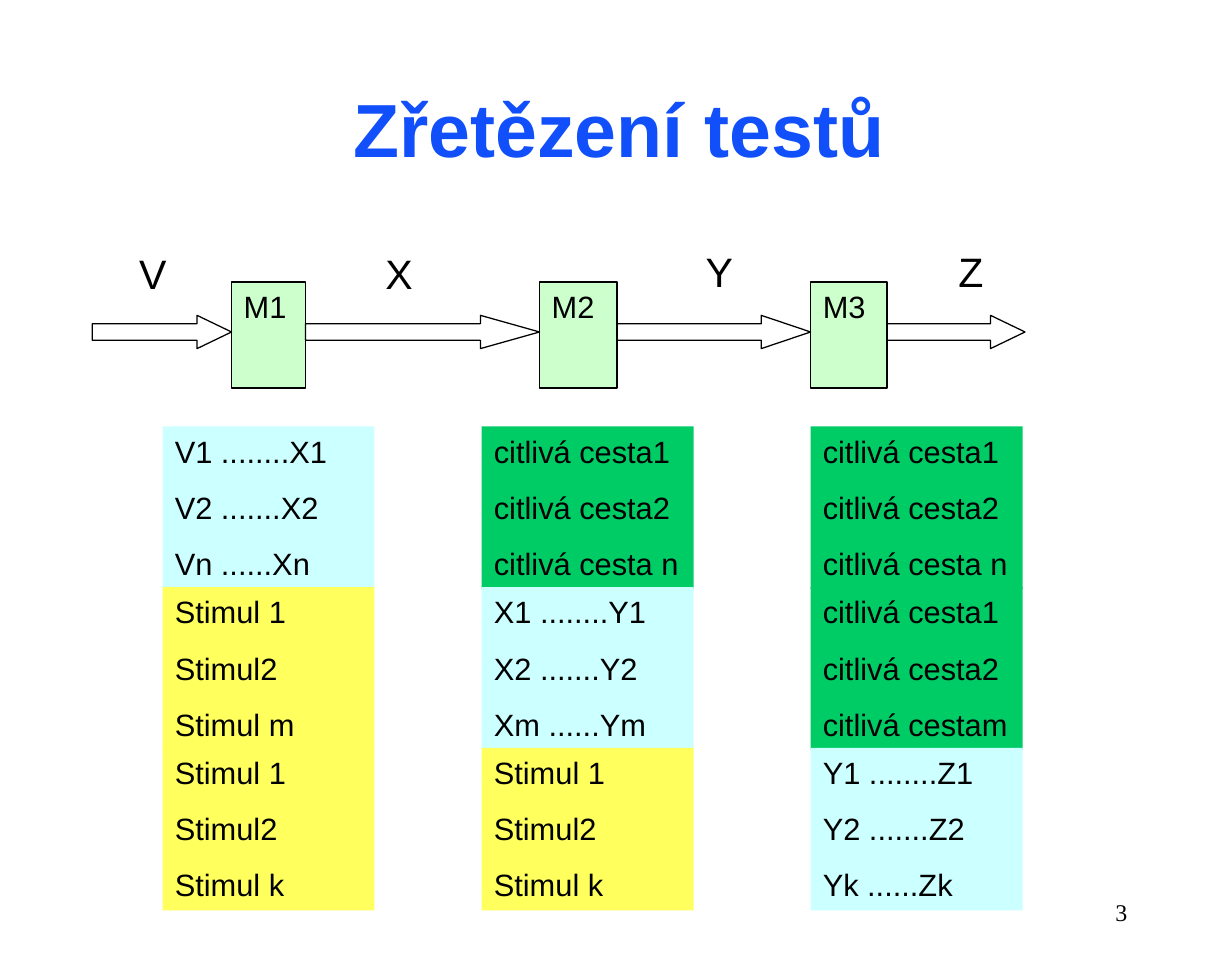
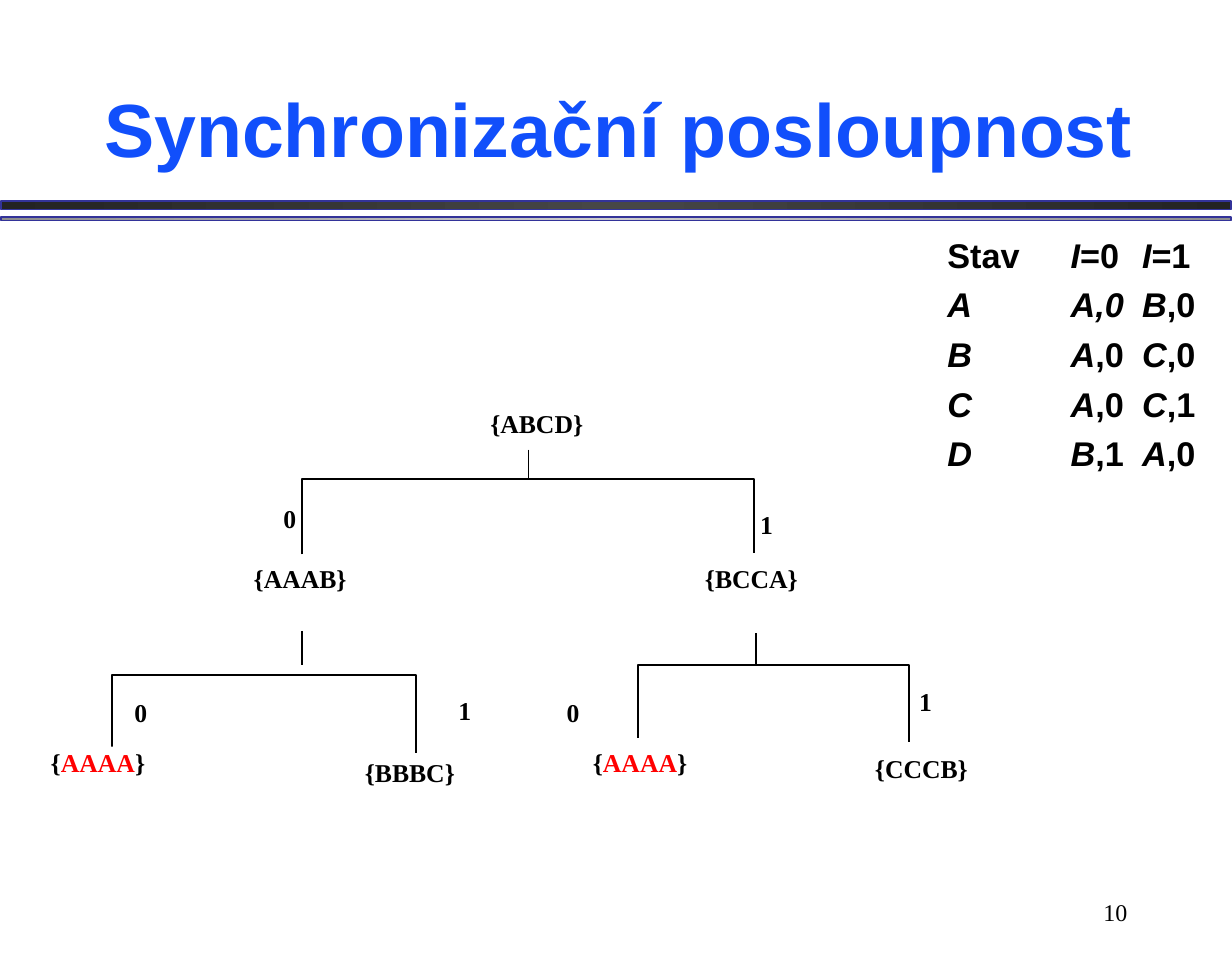
import copy
from dataclasses import dataclass

import pptx
import pptx.dml.color
import pptx.enum.shapes
import pptx.enum.text
import pptx.oxml
import pptx.oxml.ns
import pptx.util
from pptx.util import Inches

HUES = {
    "title": "114FFB", "ink": "000000", "red": "FF0000", "white": "FFFFFF",
    "module": "CCFFCC", "pair": "CCFFFF", "route": "00CC66", "stim": "FFFF5D",
    "rim": "333399", "dark": "232323", "gray": "474747",
    "dim": "8F8F8F", "pale": "CECECE",
}
SANS, SERIF = "Arial", "Times New Roman"
KINDS = pptx.enum.shapes.MSO_SHAPE
ALIGN = pptx.enum.text.PP_ALIGN
ANCHOR = pptx.enum.text.MSO_ANCHOR
PAD = (0.1, 0.05, 0.1, 0.05)
NO_PAD = (0, 0, 0, 0)


@dataclass
class Box:
    left: float
    top: float
    width: float
    height: float

    def emu(self) -> list:
        return [Inches(v) for v in (self.left, self.top, self.width, self.height)]


@dataclass
class Label:
    text: str
    box: Box
    fill: str | None = None


@dataclass
class Fork:
    """A stem above a bracket whose two legs end at different heights."""
    stem: float
    start: float
    end: float
    bar: float
    left: float
    right: float
    left_foot: float
    right_foot: float


def rgb(name: str):
    return pptx.dml.color.RGBColor.from_string(HUES[name])


def write(frame, text, *, size=18, font=SANS, color="ink", bold=False,
          align=ALIGN.LEFT, anchor=ANCHOR.TOP, before=0, pad=PAD, wrap=True,
          mark=None, slant=False, tabs=()):
    """Fill a frame line by line; parts between bars take the mark colour or slant."""
    frame.auto_size = pptx.enum.text.MSO_AUTO_SIZE.NONE
    frame.word_wrap = wrap
    frame.vertical_anchor = anchor
    (frame.margin_left, frame.margin_top,
     frame.margin_right, frame.margin_bottom) = map(Inches, pad)
    for i, line in enumerate(text.split("\n")):
        para = frame.paragraphs[0] if i == 0 else frame.add_paragraph()
        para.alignment = align
        para.space_before = pptx.util.Pt(before)
        if tabs:
            stops = pptx.oxml.parse_xml(
                f'<a:tabLst {pptx.oxml.ns.nsdecls("a")}>'
                + "".join(f'<a:tab pos="{Inches(t)}" algn="l"/>' for t in tabs)
                + "</a:tabLst>")
            para._p.get_or_add_pPr().append(stops)
        for j, part in enumerate(line.split("|")):
            if not part:
                continue
            run = para.add_run()
            run.text = part
            run.font.name, run.font.size = font, pptx.util.Pt(size)
            run.font.bold = bold
            run.font.italic = slant and j % 2 == 1
            run.font.color.rgb = rgb(mark if mark and j % 2 else color)


def add_text(slide, box: Box, text: str, **style):
    write(slide.shapes.add_textbox(*box.emu()).text_frame, text, **style)


def add_line(line, width: float, color: str = "ink"):
    line.color.rgb = rgb(color)
    line.width = pptx.util.Pt(width)


def add_block(slide, box: Box, fill: str | None = None, rim: float = 0,
              kind=KINDS.RECTANGLE):
    shape = slide.shapes.add_shape(kind, *box.emu())
    shape.shadow.inherit = False
    if fill:
        shape.fill.solid()
        shape.fill.fore_color.rgb = rgb(fill)
    else:
        shape.fill.background()
    if rim:
        add_line(shape.line, rim)
    else:
        shape.line.fill.background()
    return shape


def add_band(slide, box: Box, edge: str, core: str):
    """Draw a bar that fades from edge to core and back."""
    bar = add_block(slide, box)
    bar.fill.gradient()
    bar.fill.gradient_angle = 0
    for stop, color, place in zip(bar.fill.gradient_stops, (edge, core), (0, 0.5)):
        stop.color.rgb = rgb(color)
        stop.position = place
    stops = bar._element.spPr.find(".//" + pptx.oxml.ns.qn("a:gsLst"))
    last = copy.deepcopy(stops[0])
    last.set("pos", "100000")
    stops.append(last)
    add_line(bar.line, 1, "rim")


def add_arrow(slide, start: float, end: float, head: float):
    arrow = add_block(slide, Box(start, 2.56, end - start, 0.27), rim=0.75,
                      kind=KINDS.RIGHT_ARROW)
    arrow.adjustments[0] = 0.5
    arrow.adjustments[1] = head / 0.27


def add_fork(slide, fork: Fork):
    x = Inches(fork.stem)
    stem = slide.shapes.add_connector(
        pptx.enum.shapes.MSO_CONNECTOR.STRAIGHT,
        x, Inches(fork.start), x, Inches(fork.end))
    add_line(stem.line, 1.13)
    stem._element.spPr.append(
        pptx.oxml.parse_xml(f'<a:effectLst {pptx.oxml.ns.nsdecls("a")}/>'))
    pen = slide.shapes.build_freeform(Inches(fork.left), Inches(fork.left_foot))
    pen.add_line_segments(
        [(Inches(px), Inches(py)) for px, py in (
            (fork.left, fork.bar), (fork.right, fork.bar),
            (fork.right, fork.right_foot))], close=False)
    legs = pen.convert_to_shape()
    legs.shadow.inherit = False
    legs.fill.background()
    add_line(legs.line, 1.13)


def add_slide(deck, title: str, number: int, bands: bool = False):
    slide = deck.slides.add_slide(deck.slide_layouts[5])
    if bands:
        add_band(slide, Box(0.01, 1.63, 9.98, 0.07), "dark", "gray")
        add_band(slide, Box(0.01, 1.76, 9.98, 0.03), "dim", "pale")
    head = slide.shapes.title
    head.left, head.top, head.width, head.height = Box(0.44, 0.53, 9.17, 0.92).emu()
    write(head.text_frame, title, size=44, color="title", bold=True,
          align=ALIGN.CENTER, anchor=ANCHOR.BOTTOM)
    add_text(slide, Box(7.16, 7.15, 2.09, 0.5), str(number), size=14, font=SERIF,
             align=ALIGN.RIGHT, anchor=ANCHOR.MIDDLE)
    return slide


def cell_text(row: int, col: int) -> tuple[str, str]:
    """Give the fill and the lines of one test block."""
    last = "nmk"[row]
    if row == col:
        a, b = "VXYZ"[col:col + 2]
        lines = [f"{a}{n} {'.' * dots}{b}{n}"
                 for n, dots in zip(("1", "2", last), (8, 7, 6))]
        return "pair", "\n".join(lines)
    if row < col:
        end = " n" if row == 0 else last
        return "route", "\n".join("citlivá cesta" + n for n in ("1", "2", end))
    return "stim", f"Stimul 1\nStimul2\nStimul {last}"


def draw_chain(deck):
    slide = add_slide(deck, "Zřetězení testů", 3)
    spans = [(1.88, 2.48), (4.38, 5.01), (6.58, 7.2)]
    for i, (left, right) in enumerate(spans, 1):
        block = add_block(slide, Box(left, 2.29, right - left, 0.86), "module", 0.75)
        write(block.text_frame, f"M{i}", before=11.2)
    starts = [0.75] + [right for _, right in spans]
    ends = [left for left, _ in spans] + [8.32]
    for start, end, head in zip(starts, ends, (0.28, 0.48, 0.4, 0.28)):
        add_arrow(slide, start, end, head)
    for name, left, top in (("V", 1.03, 1.97), ("X", 3.03, 1.97),
                            ("Y", 5.63, 1.95), ("Z", 7.68, 1.95)):
        add_text(slide, Box(left, top, 0.42, 0.5), name, size=24, before=6, wrap=False)
    for col, left in enumerate((1.32, 3.91, 6.58)):
        for row in range(3):
            fill, text = cell_text(row, col)
            block = add_block(slide, Box(left, 3.46 + 1.305 * row, 1.72, 1.32), fill)
            write(block.text_frame, text, before=11.2)


def draw_tree(deck):
    slide = add_slide(deck, "Synchronizační posloupnost", 10, bands=True)
    states = ("Stav\t|I|=0\t|I|=1", "|A\tA,0\tB|,0", "|B\tA|,0\t|C|,0",
              "|C\tA|,0\t|C|,1", "|D\tB|,1\t|A|,0")
    add_text(slide, Box(5.67, 1.85, 4.33, 2.05), "\n".join(states), size=20,
             bold=True, before=5, slant=True, tabs=(1, 1.58),
             pad=(2.02, 0.05, 0.1, 0.05))
    for fork in (Fork(4.29, 3.65, 3.89, 3.89, 2.45, 6.12, 4.5, 4.49),
                 Fork(2.45, 5.12, 5.4, 5.48, 0.91, 3.38, 6.08, 6.11),
                 Fork(6.14, 5.14, 5.4, 5.4, 5.18, 7.38, 5.99, 6.02)):
        add_fork(slide, fork)
    labels = [
        Label("{ABCD}", Box(3.98, 3.31, 0.76, 0.25)),
        Label("{AAAB}", Box(2.06, 4.57, 0.76, 0.25)),
        Label(" {BCCA}", Box(5.67, 4.57, 0.81, 0.25), "white"),
        Label(" {|AAAA|}", Box(0.36, 6.06, 0.82, 0.25), "white"),
        Label(" {BBBC}", Box(2.91, 6.14, 0.78, 0.25), "white"),
        Label(" {|AAAA|}", Box(4.76, 6.06, 0.82, 0.25), "white"),
        Label(" {CCCB}", Box(7.05, 6.11, 0.81, 0.25), "white"),
    ]
    bits = (("0", 2.3, 4.08), ("1", 6.17, 4.13), ("0", 1.09, 5.66),
            ("1", 3.72, 5.64), ("0", 4.6, 5.66), ("1", 7.46, 5.57))
    labels += [Label(bit, Box(left, top, 0.11, 0.25)) for bit, left, top in bits]
    style = dict(size=15, font=SERIF, bold=True, before=3.7, pad=NO_PAD,
                 wrap=False, mark="red")
    for label in labels:
        if label.fill:
            block = add_block(slide, label.box, label.fill)
            write(block.text_frame, label.text, **style)
        else:
            add_text(slide, label.box, label.text, **style)


def main():
    deck = pptx.Presentation()
    deck.slide_width, deck.slide_height = Inches(10), Inches(7.8)
    draw_chain(deck)
    draw_tree(deck)
    deck.save("out.pptx")


if __name__ == "__main__":
    main()
